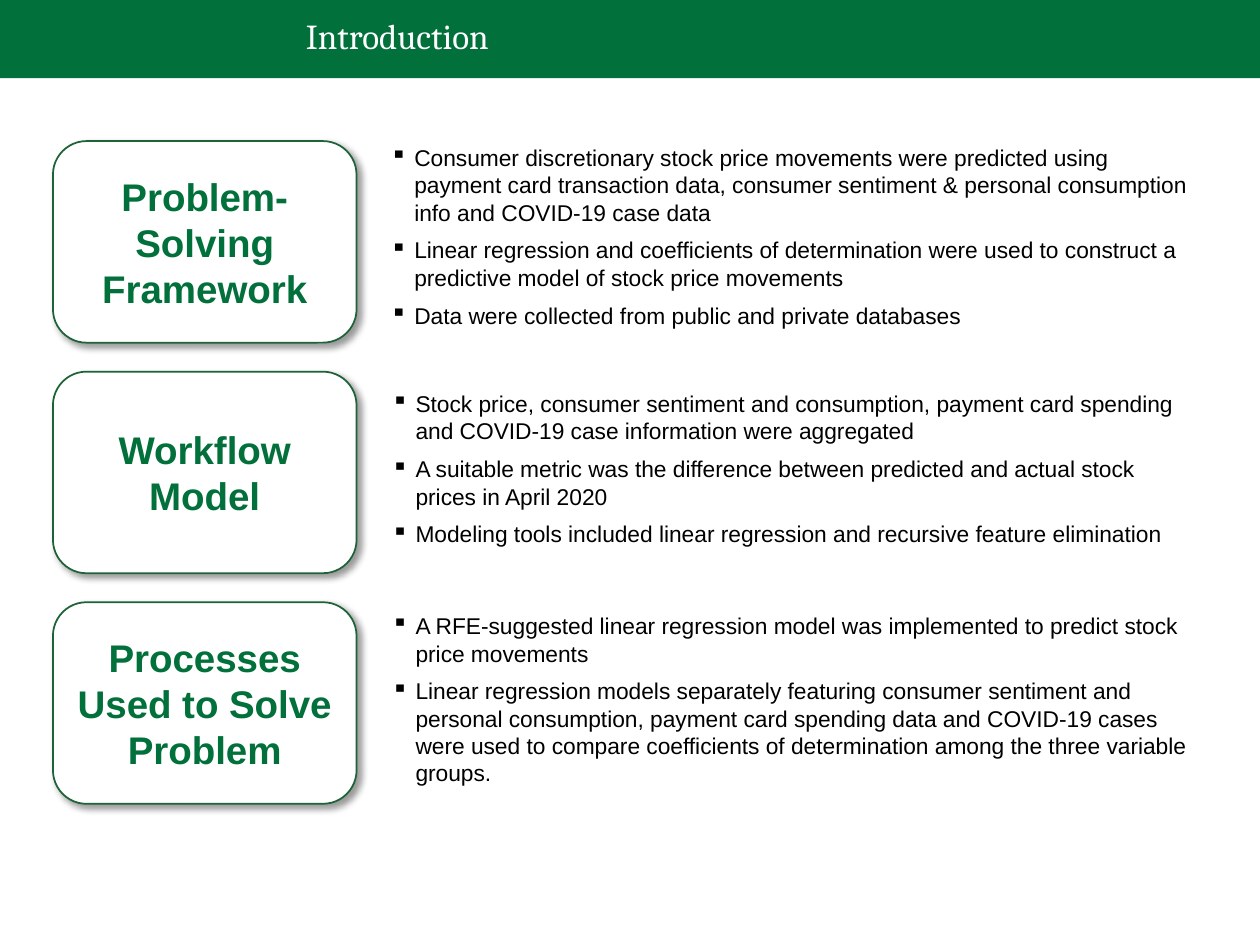
from lxml import etree
from pptx import Presentation
from pptx.dml.color import RGBColor
from pptx.enum import shapes, text
from pptx.oxml import ns
from pptx.util import Pt

PX = 9144  # 100 px to the inch
GREEN = RGBColor(0x01, 0x70, 0x3B)
EDGE = RGBColor(0x1E, 0x62, 0x37)
WHITE = RGBColor(0xFF, 0xFF, 0xFF)
BLACK = RGBColor(0, 0, 0)

TOP, STEP, HIGH = 112, 183, 160

# label, (left, top offset, height) of the points, points
ROWS = [
    ("Problem-Solving Framework", (300, 7, 137), [
        "Consumer discretionary stock price movements were predicted using payment card "
        "transaction data, consumer sentiment & personal consumption info and COVID-19 case data",
        "Linear regression and coefficients of determination were used to construct a "
        "predictive model of stock price movements",
        "Data were collected from public and private databases",
    ]),
    ("Workflow Model", (301, -3, HIGH), [
        "Stock price, consumer sentiment and consumption, payment card spending and COVID-19 "
        "case information were aggregated",
        "A suitable metric was the difference between predicted and actual stock prices in "
        "April 2020",
        "Modeling tools included linear regression and recursive feature elimination",
    ]),
    ("Processes Used to Solve Problem", (301, -3, HIGH), [
        "A RFE-suggested linear regression model was implemented to predict stock price "
        "movements",
        "Linear regression models separately featuring consumer sentiment and personal "
        "consumption, payment card spending data and COVID-19 cases were used to compare "
        "coefficients of determination among the three variable groups.",
    ]),
]


def add(parent, tag, **attrs):
    return etree.SubElement(parent, ns.qn(tag), {k: str(v) for k, v in attrs.items()})


class Deck:
    def __init__(self, wide, high):
        self.prs = Presentation()
        self.prs.slide_width, self.prs.slide_height = wide * PX, high * PX
        self.slide = self.prs.slides.add_slide(self.prs.slide_layouts[6])

    def shape(self, kind, box, fill):
        item = self.slide.shapes.add_shape(kind, *(n * PX for n in box))
        item.shadow.inherit = False
        item.fill.solid()
        item.fill.fore_color.rgb = fill
        item.line.fill.background()
        return item

    def label(self, item, lines, size, color, font="Arial", bold=False,
              align=text.PP_ALIGN.LEFT):
        frame = item.text_frame
        frame.word_wrap = True
        frame.vertical_anchor = text.MSO_ANCHOR.MIDDLE
        frame.text = "\n".join(lines)
        for para in frame.paragraphs:
            para.alignment = align
            para.font.name, para.font.size = font, Pt(size)
            para.font.bold, para.font.color.rgb = bold, color
        return frame.paragraphs

    def text(self, box, lines, size, color, **style):
        item = self.slide.shapes.add_textbox(*(n * PX for n in box))
        return self.label(item, lines, size, color, **style)

    def bar(self, box):
        self.shape(shapes.MSO_SHAPE.RECTANGLE, box, GREEN)

    def title(self, box, words):
        para, = self.text(box, [words], 20, WHITE, font="Cambria")
        para.line_spacing = 0.9

    def card(self, box, words):
        item = self.shape(shapes.MSO_SHAPE.ROUNDED_RECTANGLE, box, WHITE)
        item.line.color.rgb, item.line.width = EDGE, Pt(1)
        self.shade(item)
        self.label(item, [words], 22, GREEN, bold=True, align=text.PP_ALIGN.CENTER)

    def shade(self, item):
        """Cast a soft shadow to the lower right."""
        effects = item.element.spPr.find(ns.qn("a:effectLst"))
        outer = add(effects, "a:outerShdw", blurRad=Pt(4), dist=Pt(3), dir=45 * 60000,
                    algn="tl", rotWithShape=0)
        add(add(outer, "a:srgbClr", val=BLACK), "a:alpha", val=40000)

    def points(self, box, lines):
        for para in self.text(box, lines, 13, BLACK):
            para.space_after = Pt(6)
            props = para._p.get_or_add_pPr()
            props.set("marL", str(19 * PX))
            props.set("indent", str(-19 * PX))
            mark = etree.Element(ns.qn("a:buChar"), char="▪")
            props.find(ns.qn("a:defRPr")).addprevious(mark)

    def save(self):
        self.prs.save("out.pptx")


def main():
    deck = Deck(1000, 750)
    deck.bar((0, 0, 1000, 62))
    deck.title((233, 1, 767, 59), "Introduction")
    for i, (name, (left, shift, high), lines) in enumerate(ROWS):
        top = TOP + i * STEP
        deck.card((42, top, 241, HIGH), name)
        deck.points((left, top + shift, 657, high), lines)
    deck.save()


if __name__ == "__main__":
    main()
